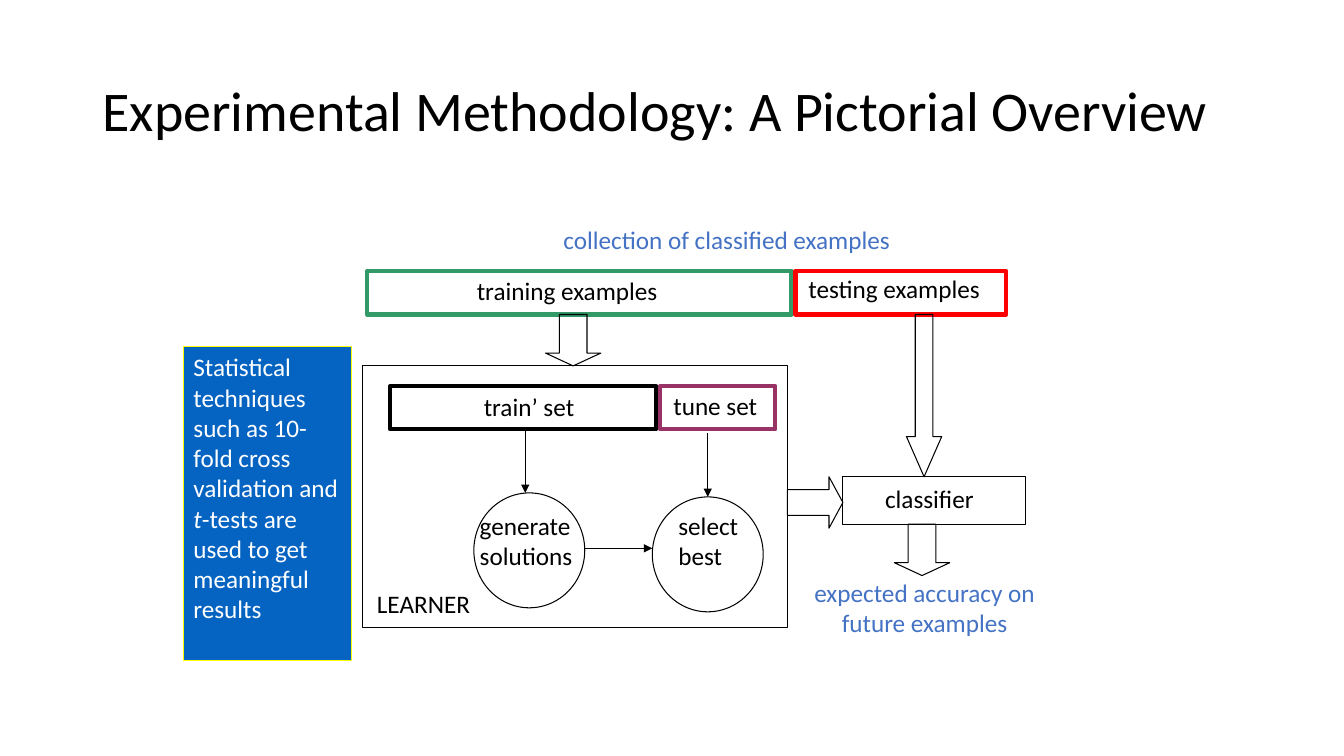
from dataclasses import dataclass

from lxml import etree
from pptx import Presentation, util as u
from pptx.dml.color import RGBColor
from pptx.enum import shapes, text
from pptx.oxml.ns import qn

CELL = u.Inches(0.1)  # the slide is a grid of 133.3 columns by 75 rows
SHAPE = shapes.MSO_SHAPE
LEFT, CENTER = text.PP_ALIGN.LEFT, text.PP_ALIGN.CENTER


@dataclass(frozen=True)
class Theme:
    font: str = "Calibri"
    title_size: float = 40
    body_size: float = 18
    thin: float = 0.75
    thick: float = 3
    ink: str = "000000"
    accent: str = "4472C4"
    training: str = "339966"
    testing: str = "FF0000"
    tuning: str = "993366"
    note_fill: str = "0563C1"
    note_line: str = "FFFF00"
    note_ink: str = "FFFFFF"


THEME = Theme()


@dataclass(frozen=True)
class Box:
    """A region of the grid, in columns and rows."""
    col: float
    row: float
    cols: float
    rows: float

    def inner(self, col, row, cols, rows):
        return Box(self.col + col, self.row + row, cols, rows)

    def emu(self):
        return [round(n * CELL) for n in (self.col, self.row, self.cols, self.rows)]


def outline(slide, box, kind=SHAPE.RECTANGLE, line=THEME.ink, weight=THEME.thin,
            fill=None, adjust=()):
    shape = slide.shapes.add_shape(kind, *box.emu())
    shape.shadow.inherit = False
    if fill:
        shape.fill.solid()
        shape.fill.fore_color.rgb = RGBColor.from_string(fill)
    else:
        shape.fill.background()
    shape.line.color.rgb = RGBColor.from_string(line)
    shape.line.width = u.Pt(weight)
    for i, value in enumerate(adjust):
        shape.adjustments[i] = value
    return shape


def write(frame, pieces, color=THEME.ink, size=THEME.body_size, align=LEFT,
          anchor=text.MSO_ANCHOR.TOP):
    """Fill a frame with one paragraph; every second piece is italic."""
    frame.word_wrap = True
    frame.vertical_anchor = anchor
    paragraph = frame.paragraphs[0]
    paragraph.alignment = align
    for i, piece in enumerate(pieces):
        run = paragraph.add_run()
        run.text = piece
        run.font.name = THEME.font
        run.font.size = u.Pt(size)
        run.font.italic = i % 2 == 1
        run.font.color.rgb = RGBColor.from_string(color)
    return paragraph


def label(slide, box, words, **style):
    frame = slide.shapes.add_textbox(*box.emu()).text_frame
    return write(frame, [words], **style)


def line(slide, box, arrow=True):
    """Draw from the box's top left to its bottom right corner."""
    x, y, width, height = box.emu()
    connector = slide.shapes.add_connector(
        shapes.MSO_CONNECTOR.STRAIGHT, x, y, x + width, y + height)
    connector.line.color.rgb = RGBColor.from_string(THEME.ink)
    connector.line.width = u.Pt(THEME.thin)
    properties = connector._element.spPr
    if arrow:
        tail = etree.SubElement(properties.get_or_add_ln(), qn("a:tailEnd"))
        tail.set("type", "triangle")
    etree.SubElement(properties, qn("a:effectLst"))


def title(slide, box):
    heading = label(slide, box, "Experimental Methodology: A Pictorial Overview",
                    size=THEME.title_size, anchor=text.MSO_ANCHOR.MIDDLE)
    heading.line_spacing = 0.9


def examples(slide, box):
    label(slide, box.inner(18.5, -5.1, 48, 4), "collection of classified examples",
          color=THEME.accent)
    outline(slide, box.inner(0, 0, 42.1, box.rows), line=THEME.training,
            weight=THEME.thick)
    outline(slide, box.inner(42.5, 0, 20.9, box.rows), line=THEME.testing,
            weight=THEME.thick)
    label(slide, box.inner(8.6, -0.1, 22.5, 4), "training examples", align=CENTER)
    label(slide, box.inner(42.8, -0.3, 26.4, 4), "testing examples")
    outline(slide, box.inner(17.7, box.rows, 5.5, 5.1), SHAPE.DOWN_ARROW,
            adjust=(0.5, 0.25))
    outline(slide, box.inner(53.5, box.rows, 3.5, 16.1), SHAPE.DOWN_ARROW,
            adjust=(0.5, 1.14))


def learner(slide, box):
    outline(slide, box)
    label(slide, box.inner(0.4, 21.6, 13.4, 7.1), "LEARNER")

    outline(slide, box.inner(2.7, 2, 26.4, 4.3), weight=THEME.thick)
    outline(slide, box.inner(29.5, 2, 11.4, 4.3), line=THEME.tuning,
            weight=THEME.thick)
    line(slide, box.inner(29.1, 2, 0, 4.3), arrow=False)
    label(slide, box.inner(11, 2, 14.6, 4), "train’ set")
    label(slide, box.inner(29.8, 1.9, 12.1, 4), "tune set")

    steps = [("generate solutions", 11, 12.6, 10.6, 15.3, 16.1),
             ("select best", 28.7, 13, 30.3, 11.4, 34.2)]
    for words, circle_col, circle_row, words_col, words_cols, arrow_col in steps:
        line(slide, box.inner(arrow_col, circle_row - 6.3, 0, 6.3))
        outline(slide, box.inner(circle_col, circle_row, 11, 11.4), SHAPE.OVAL)
        label(slide, box.inner(words_col, 13.8, words_cols, 7), words)
    line(slide, box.inner(22, 18.1, 6.7, 0))

    outline(slide, box.inner(box.cols, 11, 5.5, 5.1), SHAPE.RIGHT_ARROW,
            adjust=(0.5, 0.27))


def classifier(slide, box):
    outline(slide, box)
    label(slide, box.inner(3.2, 0.2, 17.7, 4), "classifier")
    outline(slide, box.inner(5.1, box.rows, 5.5, 5.1), SHAPE.DOWN_ARROW,
            adjust=(0.5, 0.25))
    label(slide, box.inner(-5.9, 9.5, 28, 7), "expected accuracy on future examples",
          color=THEME.accent, align=CENTER)


def statistics_note(slide, box):
    note = outline(slide, box, line=THEME.note_line, fill=THEME.note_fill)
    write(note.text_frame,
          ["Statistical techniques such as 10-fold cross validation and ", "t",
           "-tests are used to get meaningful results"], color=THEME.note_ink)


def main():
    deck = Presentation()
    deck.slide_width, deck.slide_height = u.Inches(13.33), u.Inches(7.5)
    slide = deck.slides.add_slide(deck.slide_layouts[6])
    title(slide, Box(9.2, 4, 115, 14.5))
    examples(slide, Box(36.4, 26.9, 63.4, 4.3))
    learner(slide, Box(36, 36.3, 42.1, 26))
    classifier(slide, Box(83.6, 47.3, 18.1, 4.7))
    statistics_note(slide, Box(18.2, 34.4, 16.7, 31.1))
    deck.save("out.pptx")


if __name__ == "__main__":
    main()
